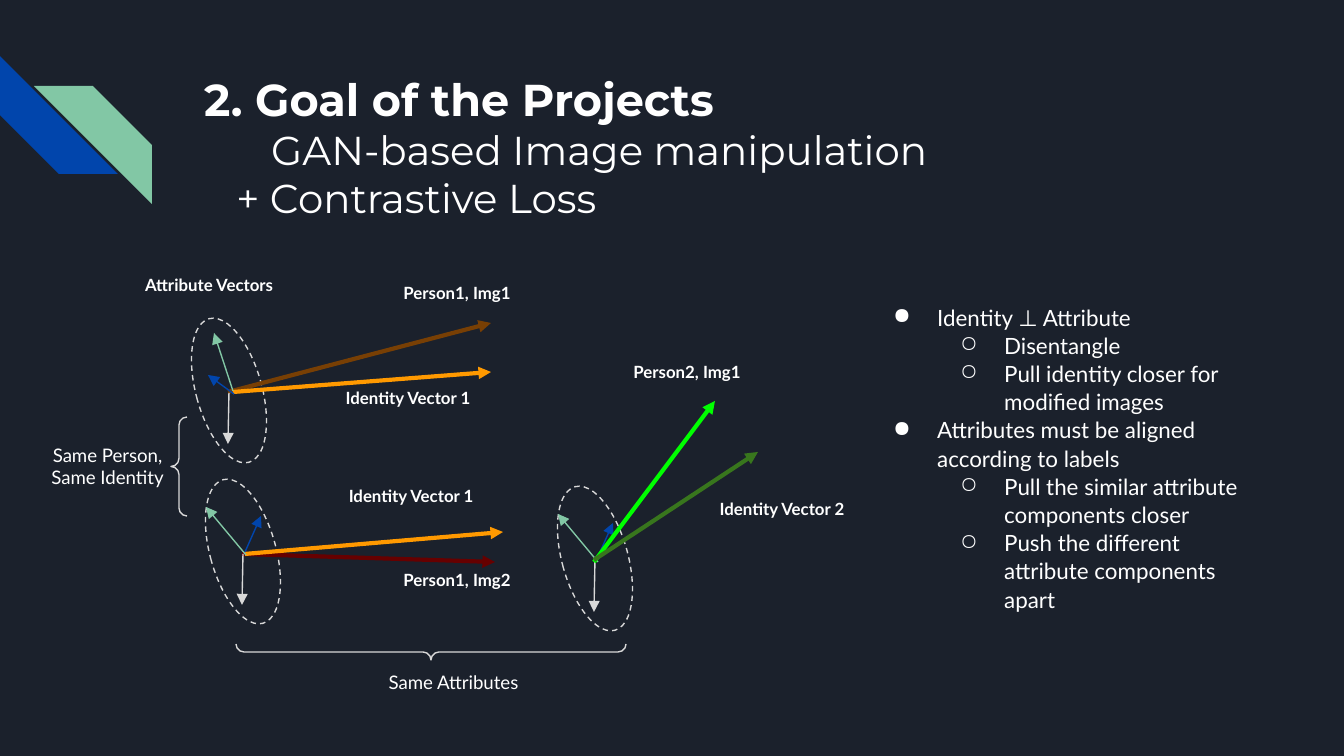
from pptx import Presentation
from pptx.dml.color import RGBColor
from pptx.enum.dml import MSO_LINE
from pptx.enum.shapes import MSO_CONNECTOR, MSO_SHAPE
from pptx.enum.text import PP_ALIGN
from pptx.oxml.ns import qn
from pptx.util import Pt
from lxml import etree

STRIPE, ELLIPSE, BRACE = MSO_SHAPE.DIAGONAL_STRIPE, MSO_SHAPE.OVAL, MSO_SHAPE.LEFT_BRACE
STRAIGHT, DASH, CENTER = MSO_CONNECTOR.STRAIGHT, MSO_LINE.DASH, PP_ALIGN.CENTER

NAVY = RGBColor(0x1B, 0x21, 0x2C)
WHITE = RGBColor(0xFF, 0xFF, 0xFF)
GRAY = RGBColor(0xD9, 0xD9, 0xD9)
BLUE = RGBColor(0x01, 0x45, 0xAC)
MINT = RGBColor(0x82, 0xC7, 0xA5)
BROWN = RGBColor(0x78, 0x3F, 0x04)
ORANGE = RGBColor(0xFF, 0x99, 0x00)
MAROON = RGBColor(0x66, 0x00, 0x00)
LIME = RGBColor(0x00, 0xFF, 0x00)
GREEN = RGBColor(0x38, 0x76, 0x1D)

EMU_PER_PX = 914400 / 134.4
THIN, THICK = 0.75, 2.25
RING_SIZE = (66, 149)
RING_TILT = 344.5

# text, size, bold, first-line indent
TITLE = [
    ("2. Goal of the Projects", 23.9, True, 0),
    ("GAN-based Image manipulation", 21.6, False, 67),
    ("+ Contrastive Loss", 21.6, False, 32),
]

# Attribute arrows are measured from the corner of their ring
DOWN = (GRAY, (33, 77), (32, 128))
TILTED = [(BLUE, (35, 75), (51, 39)), (MINT, (36, 78), (-4, 30)), DOWN]
UPRIGHT = [(MINT, (37, 75), (18, 17)), (BLUE, (38, 78), (12, 59)), DOWN]
BUNDLES = [
    {"ring": (196, 316), "attributes": UPRIGHT, "identity_on_top": False,
     "identities": [(BROWN, (228, 392), (491, 323)), (ORANGE, (233, 392), (491, 372))]},
    {"ring": (210, 477), "attributes": TILTED, "identity_on_top": False,
     "identities": [(MAROON, (242, 554), (495, 562)), (ORANGE, (245, 554), (503, 532))]},
    {"ring": (562, 484), "attributes": TILTED, "identity_on_top": True,
     "identities": [(LIME, (594, 562), (715, 401)), (GREEN, (594, 560), (758, 452))]},
]

LABELS = [
    ("Attribute Vectors", 95, 265),
    ("Person1, Img1", 343, 273),
    ("Identity Vector 1", 294, 378),
    ("Person2, Img1", 573, 352),
    ("Identity Vector 1", 297, 476),
    ("Identity Vector 2", 668, 489),
    ("Person1, Img2", 343, 560),
]
CAPTIONS = [
    (["Same Person,", "Same Identity"], (26, 430, 163, 73)),
    (["Same Attributes"], (372, 660, 163, 50)),
]
BRACES = [((171, 417, 16, 99), 0), ((423, 457, 16, 390), 270)]

POINTS = [
    ("Identity ⊥ Attribute", 0),
    ("Disentangle", 1),
    ("Pull identity closer for modified images", 1),
    ("Attributes must be aligned according to labels", 0),
    ("Pull the similar attribute components closer", 1),
    ("Push the different attribute components apart", 1),
]
BULLETS = "●○"


def px(value):
    return round(value * EMU_PER_PX)


def add_outline(kind, box, rotation=0, fill=None):
    """Add a filled shape without a line, or a gray outline without a fill."""
    shape = slide.shapes.add_shape(kind, *map(px, box))
    shape.shadow.inherit = False
    shape.rotation = rotation
    if fill is None:
        shape.fill.background()
        shape.line.color.rgb = GRAY
        shape.line.width = Pt(THIN)
    else:
        shape.fill.solid()
        shape.fill.fore_color.rgb = fill
        shape.line.fill.background()
    return shape


def add_arrow(color, start, end, width):
    arrow = slide.shapes.add_connector(STRAIGHT, *map(px, (*start, *end)))
    arrow.line.color.rgb = color
    arrow.line.width = Pt(width)
    etree.SubElement(arrow.line._get_or_add_ln(), qn("a:tailEnd"), type="triangle")
    etree.SubElement(arrow._element.spPr, qn("a:effectLst"))


def add_frame(box):
    frame = slide.shapes.add_textbox(*map(px, box)).text_frame
    frame.word_wrap = True
    for side in ("left", "right", "top", "bottom"):
        setattr(frame, f"margin_{side}", px(13.44))
    return frame


def write(frame, index, text, **formats):
    """Write one white paragraph and return it."""
    paragraph = frame.paragraphs[0] if index == 0 else frame.add_paragraph()
    run = paragraph.add_run()
    run.text = text
    run.font.color.rgb = WHITE
    for name, value in formats.items():
        setattr(run.font, name, value)
    return paragraph


def add_centered(lines, box, size, bold):
    frame = add_frame(box)
    for index, line in enumerate(lines):
        write(frame, index, line, name="Lato", size=Pt(size), bold=bold).alignment = CENTER


def set_indent(paragraph, left, first):
    properties = paragraph._p.get_or_add_pPr()
    properties.set("marL", str(px(left)))
    properties.set("indent", str(px(first)))
    return properties


def add_bundle(bundle):
    left, top = bundle["ring"]
    add_outline(ELLIPSE, (left, top, *RING_SIZE), RING_TILT).line.dash_style = DASH
    attributes = [
        (color, (left + x1, top + y1), (left + x2, top + y2), THIN)
        for color, (x1, y1), (x2, y2) in bundle["attributes"]
    ]
    identities = [(*identity, THICK) for identity in bundle["identities"]]
    layers = [attributes, identities] if bundle["identity_on_top"] else [identities, attributes]
    for arrow in layers[0] + layers[1]:
        add_arrow(*arrow)


deck = Presentation()
deck.slide_width, deck.slide_height = px(1344), px(756)
slide = deck.slides.add_slide(deck.slide_layouts[6])
slide.background.fill.solid()
slide.background.fill.fore_color.rgb = NAVY

add_outline(STRIPE, (0, 56, 118, 118), 270, BLUE)
mint_stripe = add_outline(STRIPE, (34, 86, 118, 118), 0, MINT)
mint_stripe._element.spPr.xfrm.set("flipH", "1")

title_frame = add_frame((191, 58, 1074, 219))
for index, (text, size, bold, first) in enumerate(TITLE):
    line = write(title_frame, index, text, name="Montserrat", size=Pt(size), bold=bold)
    set_indent(line, 0, first)

for bundle in BUNDLES:
    add_bundle(bundle)
for text, left, top in LABELS:
    add_centered([text], (left, top, 228, 47), 9, True)
for box, rotation in BRACES:
    brace = add_outline(BRACE, box, rotation)
    brace.adjustments[0] = brace.adjustments[1] = 0.5
for lines, box in CAPTIONS:
    add_centered(lines, box, 10, False)

points_frame = add_frame((857, 289, 422, 355))
for index, (text, level) in enumerate(POINTS):
    point = write(points_frame, index, text, name="Lato", size=Pt(12))
    point.level = level
    point.line_spacing = 1.05
    properties = set_indent(point, 67 * (level + 1), -44)
    bullet_color = etree.SubElement(properties, qn("a:buClr"))
    etree.SubElement(bullet_color, qn("a:srgbClr"), val=str(WHITE))
    etree.SubElement(properties, qn("a:buChar"), char=BULLETS[level])

deck.save("out.pptx")
